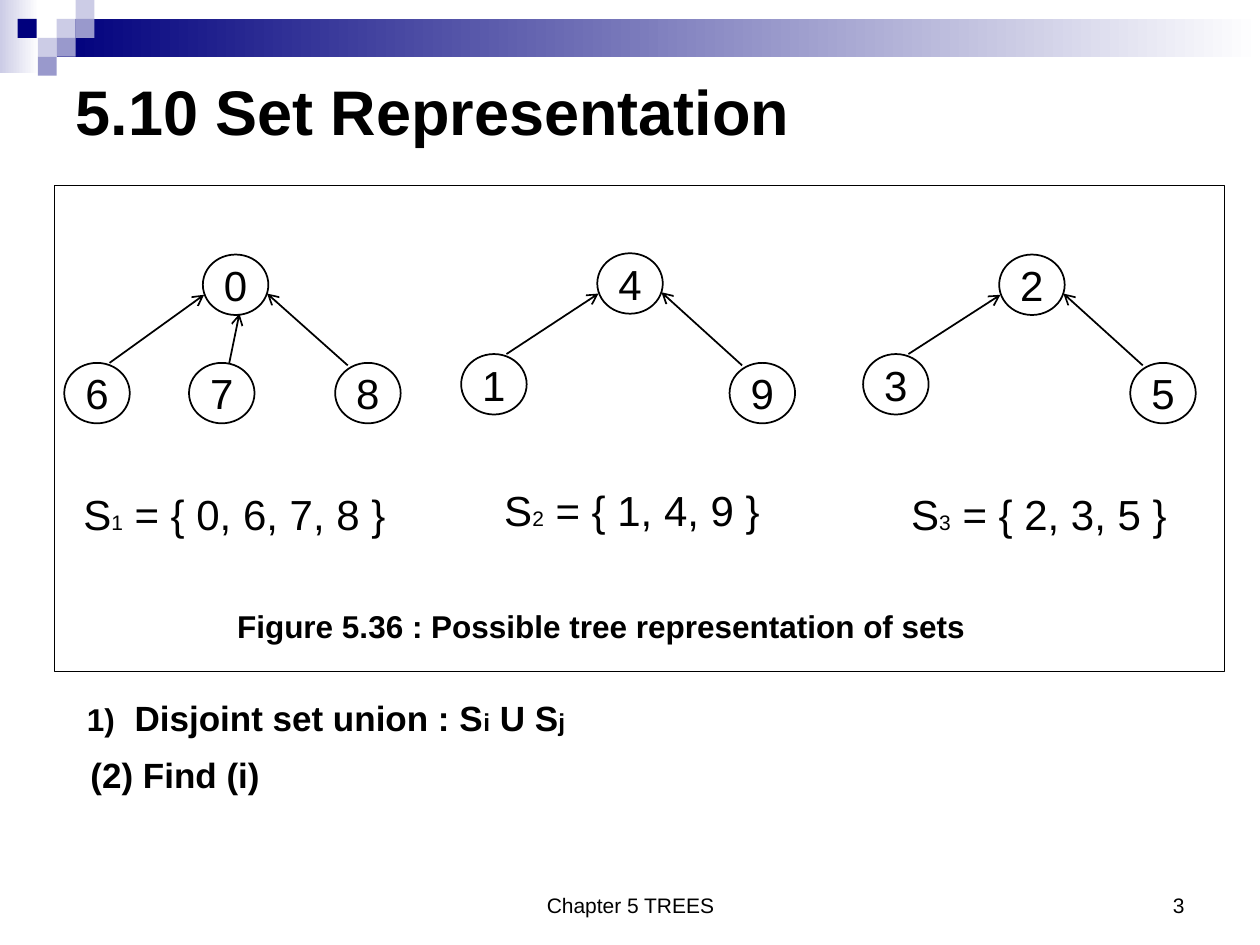
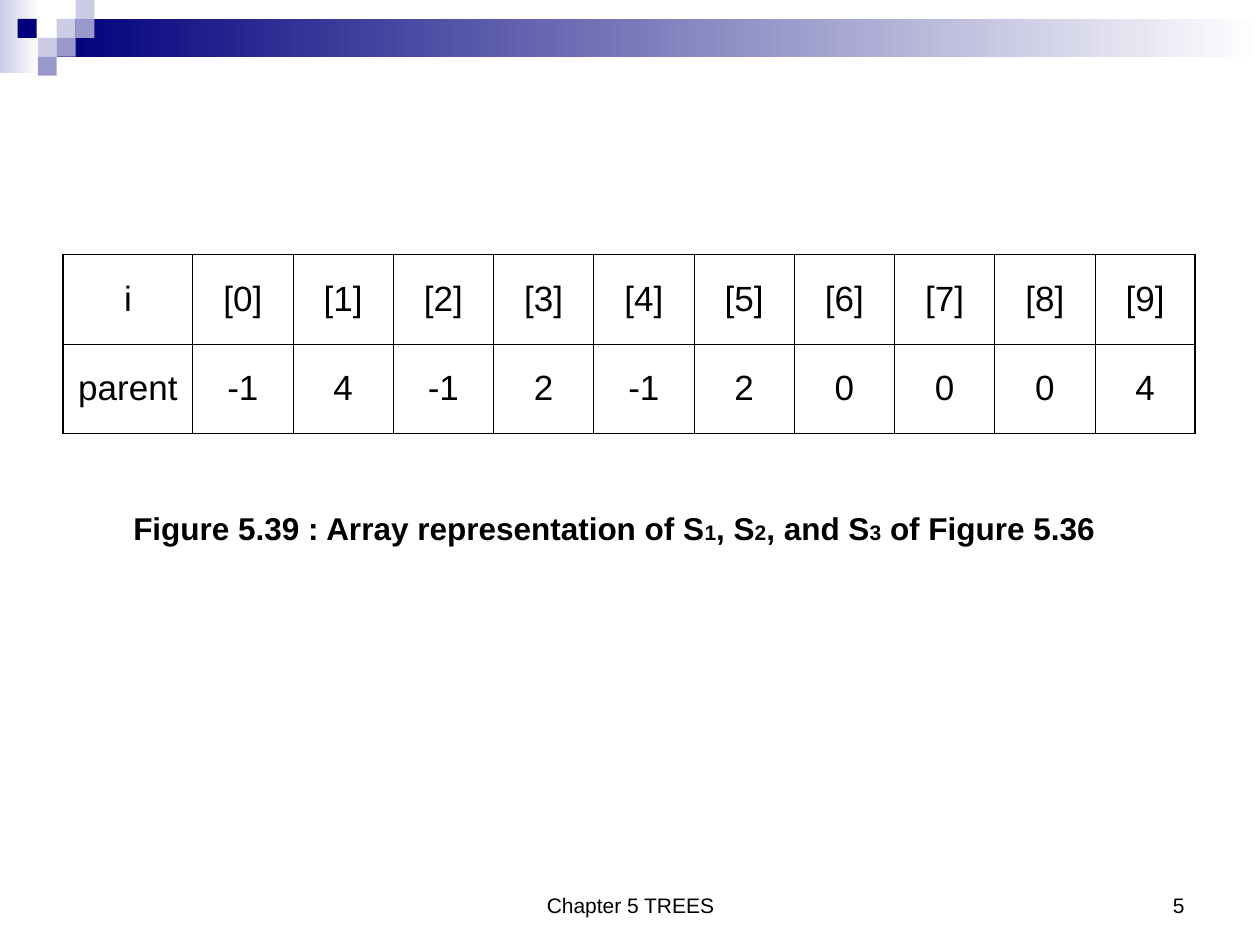
from dataclasses import dataclass

from lxml.etree import SubElement
from pptx import Presentation
from pptx.dml.color import RGBColor
from pptx.enum.shapes import MSO_CONNECTOR, MSO_SHAPE
from pptx.enum.text import MSO_ANCHOR as Anchor, MSO_AUTO_SIZE, PP_ALIGN as Align
from pptx.oxml.ns import qn
from pptx.util import Emu, Pt

BLACK = RGBColor(0x00, 0x00, 0x00)
WHITE = RGBColor(0xFF, 0xFF, 0xFF)
NAVY = RGBColor(0x00, 0x00, 0x7D)
LAVENDER = RGBColor(0xCC, 0xCC, 0xE6)
VIOLET = RGBColor(0x99, 0x99, 0xCC)
FONT = "Arial"
EMU_PER_PX = 9144  # 100 px to the inch
TITLE_ONLY, BLANK = 5, 6


def px(length: int) -> Emu:
    return Emu(length * EMU_PER_PX)


@dataclass(frozen=True)
class Box:
    left: int
    top: int
    width: int
    height: int

    def emu(self) -> tuple:
        return px(self.left), px(self.top), px(self.width), px(self.height)


@dataclass(frozen=True)
class Node:
    label: str
    left: int
    top: int


@dataclass(frozen=True)
class Port:
    """Edge ends, measured from the corners of the parent and child nodes."""
    parent_dx: int
    parent_dy: int
    child_dx: int
    child_dy: int


@dataclass(frozen=True)
class Tree:
    root: Node
    children: tuple[tuple[Node, Port], ...]


@dataclass(frozen=True)
class SetFormula:
    index: str
    members: str
    box: Box


# Shared band: gradients, then the mosaic of small squares
GRADIENTS = ((Box(0, 0, 31, 58), LAVENDER), (Box(45, 15, 955, 30), NAVY))
SQUARE = 15
MOSAIC = (
    (45, 15, LAVENDER), (60, 0, LAVENDER), (60, 15, VIOLET), (30, 30, LAVENDER),
    (14, 15, NAVY), (45, 30, VIOLET), (30, 45, VIOLET),
)

# Trees of the sets
NODE_WIDTH, NODE_HEIGHT = 52, 48
LEFT = Port(1, 32, 36, 0)
MIDDLE = Port(29, 47, 32, 0)
RIGHT = Port(51, 31, 10, 2)
TREES = (
    Tree(Node("0", 161, 202), ((Node("6", 51, 288), LEFT), (Node("8", 266, 288), RIGHT),
                               (Node("7", 150, 288), MIDDLE))),
    Tree(Node("4", 474, 201), ((Node("1", 366, 281), LEFT), (Node("9", 579, 288), RIGHT))),
    Tree(Node("2", 793, 202), ((Node("3", 685, 281), LEFT), (Node("5", 897, 288), RIGHT))),
)
FORMULAS = (
    SetFormula("1", "0, 6, 7, 8", Box(56, 383, 260, 50)),
    SetFormula("2", "1, 4, 9", Box(390, 380, 223, 50)),
    SetFormula("3", "2, 3, 5", Box(713, 383, 223, 50)),
)

# Parent array
PARENTS = (-1, 4, -1, 2, -1, 2, 0, 0, 0, 4)
ARRAY_BOX = Box(50, 202, 899, 142)
HEAD_WIDTH = 103
OUTER, INNER = Pt(1.08), Pt(0.45)


def write(frame, runs: list[tuple[str, int]], bold: bool = False,
          align: Align = Align.LEFT) -> None:
    """Fill the first paragraph with (text, size) runs."""
    paragraph = frame.paragraphs[0]
    paragraph.alignment = align
    font = paragraph.font
    font.name, font.bold, font.color.rgb = FONT, bold, BLACK
    font.size = Pt(runs[0][1])
    for text, size in runs:
        run = paragraph.add_run()
        run.text = text
        if size != runs[0][1]:
            run.font.size = Pt(size)


def add_text(slide, box: Box, runs: list[tuple[str, int]], bold: bool = False,
             align: Align = Align.LEFT, anchor: Anchor = Anchor.TOP, wrap: bool = False):
    frame = slide.shapes.add_textbox(*box.emu()).text_frame
    frame.word_wrap = wrap
    frame.vertical_anchor = anchor
    write(frame, runs, bold, align)
    return frame


def add_plain_shape(slide, kind: MSO_SHAPE, box: Box):
    shape = slide.shapes.add_shape(kind, *box.emu())
    shape.shadow.inherit = False
    return shape


def add_base(prs, layout: int, number: int):
    """Start a slide with the band, footer and slide number."""
    slide = prs.slides.add_slide(prs.slide_layouts[layout])
    for box, color in GRADIENTS:
        strip = add_plain_shape(slide, MSO_SHAPE.RECTANGLE, box)
        strip.line.fill.background()
        strip.fill.gradient()
        strip.fill.gradient_angle = 0
        for stop, stop_color in zip(strip.fill.gradient_stops, (color, WHITE)):
            stop.color.rgb = stop_color
    for left, top, color in MOSAIC:
        square = add_plain_shape(slide, MSO_SHAPE.RECTANGLE, Box(left, top, SQUARE, SQUARE))
        square.line.fill.background()
        square.fill.solid()
        square.fill.fore_color.rgb = color
    add_text(slide, Box(342, 683, 317, 50), [("Chapter 5 TREES", 12)],
             align=Align.CENTER, anchor=Anchor.BOTTOM, wrap=True)
    add_text(slide, Box(717, 683, 233, 50), [(str(number), 12)],
             align=Align.RIGHT, anchor=Anchor.BOTTOM, wrap=True)
    return slide


def set_title(slide, text: str) -> None:
    title = slide.shapes.title
    title.left, title.top, title.width, title.height = Box(50, 44, 950, 87).emu()
    frame = title.text_frame
    frame.auto_size = MSO_AUTO_SIZE.NONE
    frame.vertical_anchor = Anchor.MIDDLE
    write(frame, [(text, 36)], bold=True)


def add_node(slide, node: Node) -> None:
    circle = add_plain_shape(slide, MSO_SHAPE.OVAL,
                             Box(node.left, node.top, NODE_WIDTH, NODE_HEIGHT))
    circle.fill.solid()
    circle.fill.fore_color.rgb = WHITE
    circle.line.color.rgb = BLACK
    circle.line.width = Pt(1)
    circle.text_frame.word_wrap = False
    circle.text_frame.vertical_anchor = Anchor.MIDDLE
    write(circle.text_frame, [(node.label, 24)], align=Align.CENTER)


def add_edge(slide, parent: Node, child: Node, port: Port) -> None:
    edge = slide.shapes.add_connector(
        MSO_CONNECTOR.STRAIGHT,
        px(parent.left + port.parent_dx), px(parent.top + port.parent_dy),
        px(child.left + port.child_dx), px(child.top + port.child_dy))
    edge.line.color.rgb = BLACK
    edge.line.width = Pt(1)
    properties = edge.element.spPr
    SubElement(properties.find(qn("a:ln")), qn("a:headEnd"), type="arrow")
    SubElement(properties, qn("a:effectLst"))


def add_tree(slide, tree: Tree) -> None:
    add_node(slide, tree.root)
    for child, port in tree.children:
        add_node(slide, child)
        add_edge(slide, tree.root, child, port)


def number_paragraph(paragraph) -> None:
    """Give the paragraph a hanging number such as 1)."""
    properties = paragraph._p.get_or_add_pPr()
    properties.set("marL", str(px(38)))
    properties.set("indent", str(-px(38)))
    color = SubElement(properties, qn("a:buClr"))
    SubElement(color, qn("a:srgbClr"), val=str(BLACK))
    SubElement(properties, qn("a:buSzPct"), val="90000")
    SubElement(properties, qn("a:buFont"), typeface=FONT)
    SubElement(properties, qn("a:buAutoNum"), type="arabicParenR")


def set_borders(cell, left: Pt, right: Pt, top: Pt, bottom: Pt) -> None:
    properties = cell._tc.get_or_add_tcPr()
    for side, width in zip("LRTB", (left, right, top, bottom)):
        border = SubElement(properties, qn(f"a:ln{side}"), w=str(int(width)))
        fill = SubElement(border, qn("a:solidFill"))
        SubElement(fill, qn("a:srgbClr"), val=str(BLACK))


def add_parent_array(slide) -> None:
    rows = (["i"] + [f"[{i}]" for i in range(len(PARENTS))],
            ["parent"] + [str(parent) for parent in PARENTS])
    last_row, last_col = len(rows) - 1, len(PARENTS)
    array = slide.shapes.add_table(len(rows), last_col + 1, *ARRAY_BOX.emu()).table
    array.first_row = array.horz_banding = False
    for c, column in enumerate(array.columns):
        column.width = px(ARRAY_BOX.width - HEAD_WIDTH) // last_col if c else px(HEAD_WIDTH)
    for r, row in enumerate(rows):
        for c, text in enumerate(row):
            cell = array.cell(r, c)
            set_borders(cell,
                        OUTER if c == 0 else INNER,
                        OUTER if c == last_col else INNER,
                        OUTER if r == 0 else INNER,
                        OUTER if r == last_row else INNER)
            cell.fill.background()
            cell.vertical_anchor = Anchor.MIDDLE
            write(cell.text_frame, [(text, 20)], align=Align.CENTER)


def build_set_slide(prs) -> None:
    slide = add_base(prs, TITLE_ONLY, 3)
    set_title(slide, "5.10 Set Representation")
    for tree in TREES:
        add_tree(slide, tree)
    for formula in FORMULAS:
        add_text(slide, formula.box,
                 [("S", 24), (formula.index, 12), (f" = {{ {formula.members} }}", 24)],
                 align=Align.RIGHT)

    # Figure frame and caption
    frame = add_plain_shape(slide, MSO_SHAPE.RECTANGLE, Box(43, 147, 929, 386))
    frame.fill.background()
    frame.line.color.rgb = BLACK
    frame.line.width = Pt(0.75)
    add_text(slide, Box(178, 477, 598, 40),
             [("Figure 5.36 : Possible tree representation of sets", 18)],
             bold=True, align=Align.RIGHT)

    # Operations on sets
    union = slide.shapes.add_textbox(*Box(59, 548, 512, 44).emu()).text_frame
    union.word_wrap = True
    number_paragraph(union.paragraphs[0])
    write(union, [("Disjoint set union : S", 20), ("i", 14), (" U S", 20), ("j", 14)], bold=True)
    add_text(slide, Box(62, 593, 164, 44), [("(2) Find (i)", 20)], bold=True, wrap=True)


def build_array_slide(prs) -> None:
    slide = add_base(prs, BLANK, 5)
    add_parent_array(slide)
    add_text(slide, Box(96, 399, 784, 40),
             [("Figure 5.39 : Array representation of S", 18), ("1", 12), (", S", 18), ("2", 12),
              (", and S", 18), ("3", 12), (" of Figure 5.36", 18)], bold=True)


def main() -> None:
    prs = Presentation()
    prs.slide_width, prs.slide_height = px(1000), px(750)
    build_set_slide(prs)
    build_array_slide(prs)
    prs.save("out.pptx")


if __name__ == "__main__":
    main()
